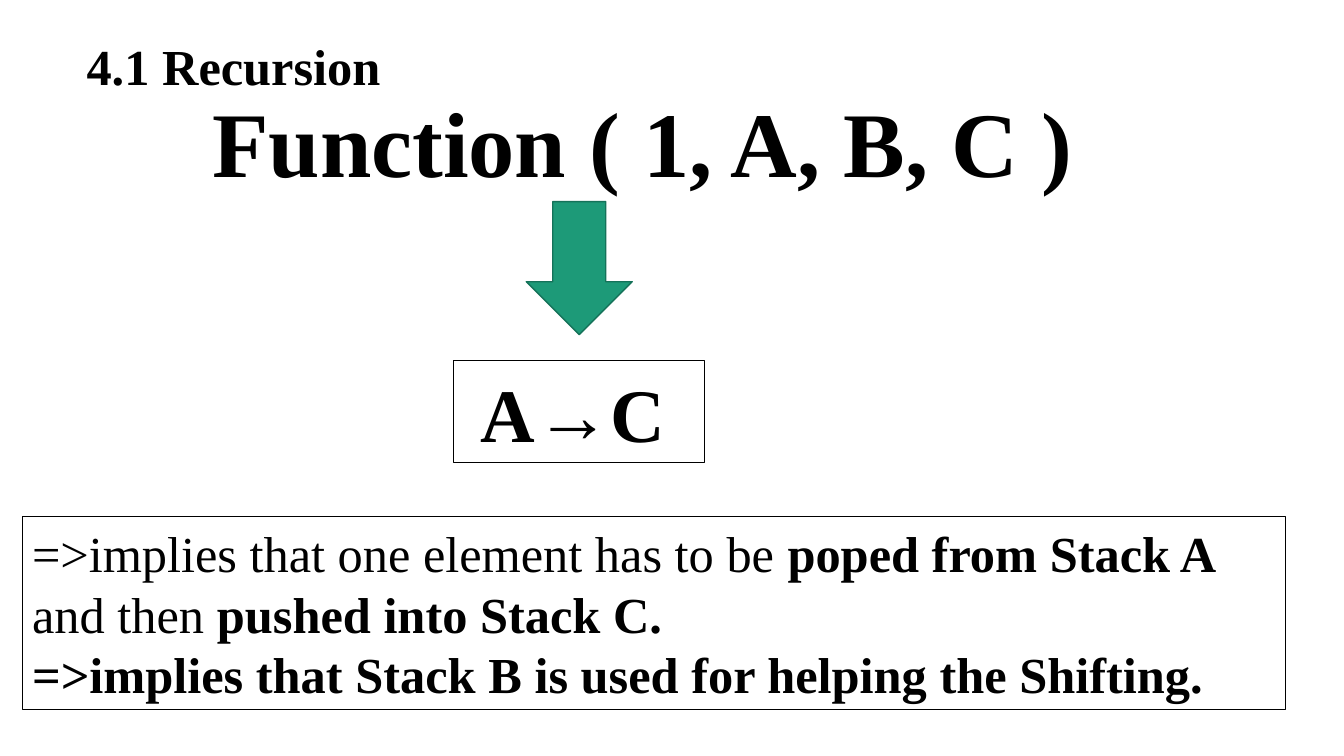
from pptx import Presentation
from pptx.dml.color import RGBColor
from pptx.enum.shapes import MSO_SHAPE
from pptx.enum.text import MSO_ANCHOR, PP_ALIGN
from pptx.util import Inches, Pt

FONT = "Times New Roman"


def color(code):
    return RGBColor.from_string(code)


def write(shape, size, lines, align=PP_ALIGN.LEFT):
    frame = shape.text_frame
    frame.word_wrap = True
    frame.vertical_anchor = MSO_ANCHOR.MIDDLE
    for i, runs in enumerate(lines):
        para = frame.paragraphs[0] if i == 0 else frame.add_paragraph()
        para.alignment = align
        para.font.name = FONT
        para.font.size = Pt(size)
        para.font.color.rgb = color("000000")
        for text, bold in runs:
            run = para.add_run()
            run.text = text
            run.font.bold = bold


def add_text(slide, place, size, text, align=PP_ALIGN.LEFT):
    box = slide.shapes.add_textbox(*map(Inches, place))
    write(box, size, [[(text, True)]], align)


def add_shape(slide, kind, place, line, width, fill=None):
    shape = slide.shapes.add_shape(kind, *map(Inches, place))
    shape.shadow.inherit = False
    shape.line.color.rgb = color(line)
    shape.line.width = Pt(width)
    if fill:
        shape.fill.solid()
        shape.fill.fore_color.rgb = color(fill)
    else:
        shape.fill.background()
    return shape


def add_box(slide, place, size, lines, align=PP_ALIGN.LEFT):
    box = add_shape(slide, MSO_SHAPE.RECTANGLE, place, "000000", 0.75)
    write(box, size, lines, align)
    return box


def main():
    deck = Presentation()
    deck.slide_width = Inches(13.33)
    deck.slide_height = Inches(7.5)
    slide = deck.slides.add_slide(deck.slide_layouts[6])

    add_text(slide, (0.76, 0.29, 12.25, 0.71), 36, "4.1 Recursion")
    add_text(slide, (1.51, 0.79, 9.95, 1.21), 66,
             "Function ( 1, A, B, C ) ", PP_ALIGN.CENTER)
    add_box(slide, (0.22, 5.12, 12.53, 1.92), 36, [
        [("=>implies that one element has to be ", False),
         ("poped from Stack A ", True),
         ("and then ", False),
         ("pushed into Stack C.", True)],
        [("=>implies that Stack B is used for helping the Shifting.", True)],
    ])
    move = add_box(slide, (4.5, 3.58, 2.49, 1.01), 54,
                   [[("A→C", True), (" ", True)]], PP_ALIGN.CENTER)
    move.text_frame.paragraphs[0].runs[1].font.size = Pt(36)
    add_shape(slide, MSO_SHAPE.DOWN_ARROW, (5.22, 2, 1.05, 1.32),
              "157259", 1, "1D9A78")

    deck.save("out.pptx")


if __name__ == "__main__":
    main()
